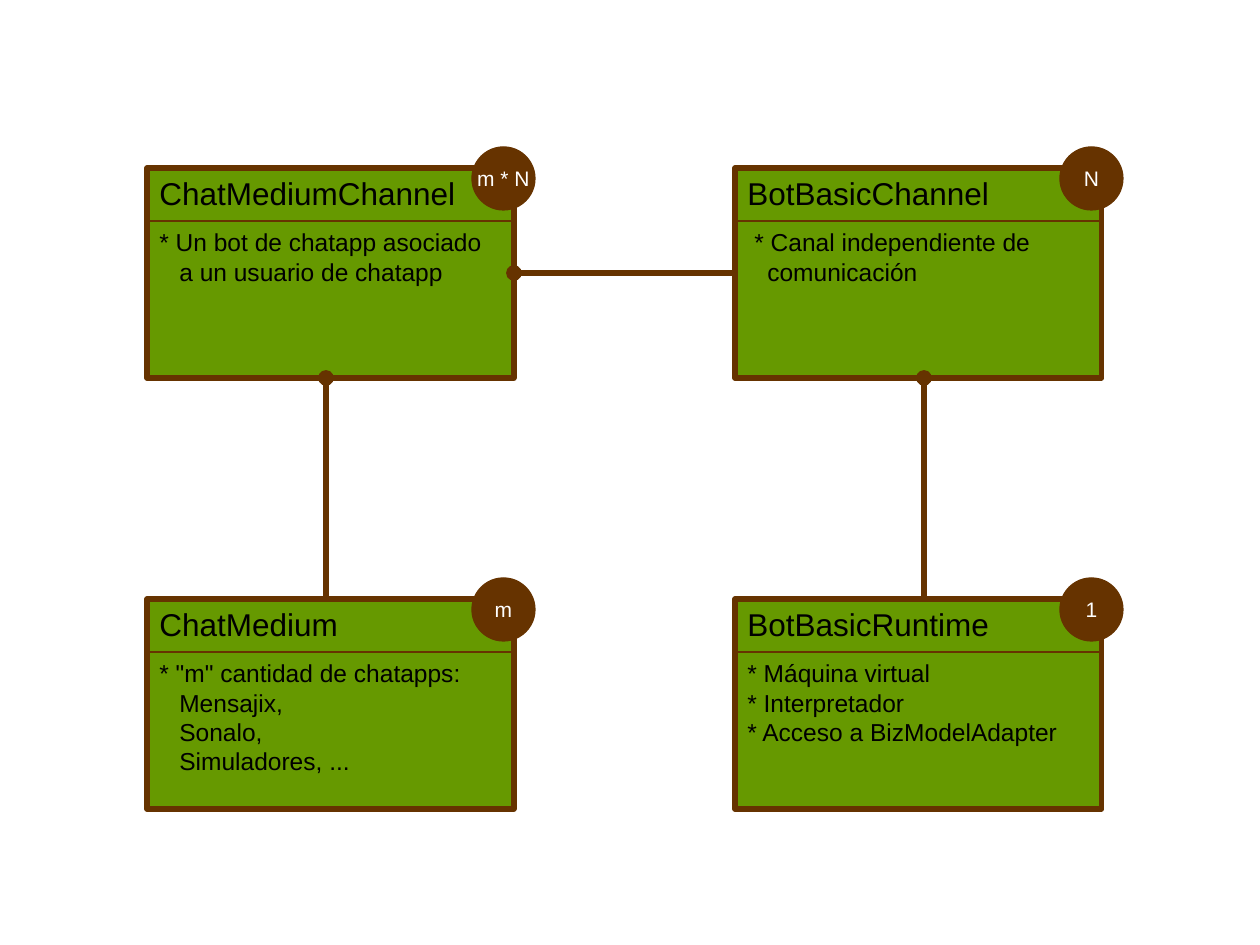
"""Build the channel and runtime class diagram slide."""
from lxml.etree import SubElement
from pptx import Presentation
from pptx.dml.color import RGBColor
from pptx.enum.shapes import MSO_CONNECTOR, MSO_SHAPE
from pptx.enum.text import MSO_ANCHOR, MSO_AUTO_SIZE, PP_ALIGN
from pptx.oxml.ns import qn
from pptx.util import Pt

COLORS = {"box": "669900", "line": "663300", "text": "000000", "badge_text": "FFFFFF"}
FONT = "Arial"
PX = 914400 // 126
SLIDE_W, SLIDE_H = 1260, 945
LEFTS, TOPS = (147, 735), (168, 599)
BOX_W, BOX_H = 367, 210
TITLE_H, DIVIDER_Y = 50, 53
BADGE_X, BADGE_Y, BADGE_SIZE = 325, -21, 63
BODY_PAD, LINE_H = 14, 29

CLASSES = [
    {"title": "ChatMediumChannel", "cell": (0, 0), "badge": "m * N", "first": 0, "rest": 20,
     "body": ["* Un bot de chatapp asociado", "a un usuario de chatapp"]},
    {"title": "BotBasicChannel", "cell": (1, 0), "badge": "N", "first": 7, "rest": 20,
     "body": ["* Canal independiente de", "comunicación"]},
    {"title": "ChatMedium", "cell": (0, 1), "badge": "m", "first": 0, "rest": 20,
     "body": ['* "m" cantidad de chatapps:', "Mensajix,", "Sonalo,", "Simuladores, ..."]},
    {"title": "BotBasicRuntime", "cell": (1, 1), "badge": "1", "first": 0, "rest": 0,
     "body": ["* Máquina virtual", "* Interpretador", "* Acceso a BizModelAdapter"]},
]
VERTICAL_LINKS = (326, 924)


def color(name):
    return RGBColor.from_string(COLORS[name])


def emu(*lengths):
    return [length * PX for length in lengths]


def add_block(slide, preset, bounds, fill, weight):
    block = slide.shapes.add_shape(preset, *emu(*bounds))
    block.shadow.inherit = False
    block.fill.solid()
    block.fill.fore_color.rgb = color(fill)
    block.line.color.rgb = color("line")
    block.line.width = Pt(weight)
    return block


def add_line(slide, start, end, weight, oval=False):
    line = slide.shapes.add_connector(MSO_CONNECTOR.STRAIGHT, *emu(*start, *end))
    line.line.color.rgb = color("line")
    line.line.width = Pt(weight)
    if oval:
        SubElement(line.line._get_or_add_ln(), qn("a:tailEnd"), type="oval")
    SubElement(line._element.spPr, qn("a:effectLst"))
    return line


def write(paragraph, lines, size, ink):
    for index, text in enumerate(lines):
        if index:
            paragraph.add_line_break()
        run = paragraph.add_run()
        run.text = text
        run.font.size = Pt(size)
        run.font.name = FONT
        run.font.color.rgb = color(ink)


def add_text(slide, bounds, lines, size):
    frame = slide.shapes.add_textbox(*emu(*bounds)).text_frame
    frame.word_wrap = True
    frame.auto_size = MSO_AUTO_SIZE.SHAPE_TO_FIT_TEXT
    write(frame.paragraphs[0], lines, size, "text")
    return frame.paragraphs[0]


def add_class(slide, item):
    column, row = item["cell"]
    x, y = LEFTS[column], TOPS[row]
    box = add_block(slide, MSO_SHAPE.RECTANGLE, (x, y, BOX_W, BOX_H), "box", 3)
    add_text(slide, (x, y, BOX_W, TITLE_H), [item["title"]], 18)
    divider = y + DIVIDER_Y
    add_line(slide, (x, divider), (x + BOX_W, divider), 0.75)
    body_h = BODY_PAD + LINE_H * len(item["body"])
    body = add_text(slide, (x, divider, BOX_W, body_h), item["body"], 14)
    properties = body._p.get_or_add_pPr()
    properties.set("marL", str(item["rest"] * PX))
    properties.set("indent", str((item["first"] - item["rest"]) * PX))
    badge = add_block(slide, MSO_SHAPE.OVAL,
                      (x + BADGE_X, y + BADGE_Y, BADGE_SIZE, BADGE_SIZE), "line", 0.75)
    frame = badge.text_frame
    frame.word_wrap = False
    frame.vertical_anchor = MSO_ANCHOR.MIDDLE
    frame.paragraphs[0].alignment = PP_ALIGN.CENTER
    write(frame.paragraphs[0], [item["badge"]], 12, "badge_text")
    return box


def main():
    presentation = Presentation()
    presentation.slide_width, presentation.slide_height = emu(SLIDE_W, SLIDE_H)
    slide = presentation.slides.add_slide(presentation.slide_layouts[6])
    boxes = {item["title"]: add_class(slide, item) for item in CLASSES}
    for x in VERTICAL_LINKS:
        add_line(slide, (x, TOPS[1]), (x, TOPS[0] + BOX_H), 3, oval=True)
    middle = TOPS[0] + BOX_H // 2
    channel_link = add_line(slide, (LEFTS[1], middle), (LEFTS[0] + BOX_W, middle), 3, oval=True)
    channel_link.begin_connect(boxes["BotBasicChannel"], 1)
    channel_link.end_connect(boxes["ChatMediumChannel"], 3)
    presentation.save("out.pptx")


if __name__ == "__main__":
    main()
